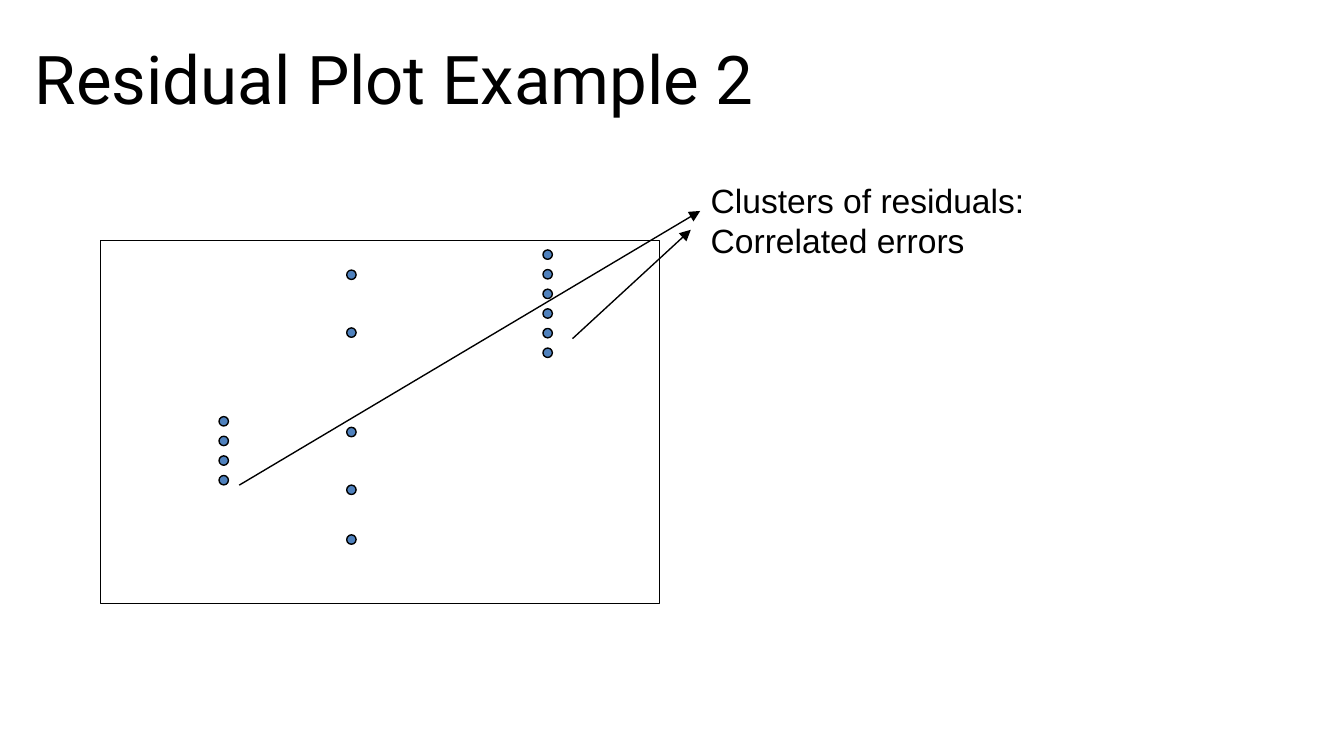
from lxml import etree
from pptx import Presentation
from pptx.dml.color import RGBColor
from pptx.enum.shapes import MSO_CONNECTOR as CONNECTOR, MSO_SHAPE as SHAPE
from pptx.enum.text import MSO_ANCHOR as ANCHOR, MSO_AUTO_SIZE as AUTO_SIZE
from pptx.oxml.ns import qn
from pptx.util import Inches, Pt

BLACK = RGBColor(0x00, 0x00, 0x00)
WHITE = RGBColor(0xFF, 0xFF, 0xFF)
BLUE = RGBColor(0x4F, 0x81, 0xBD)

DOT_SIZE = 0.07
DOT_STEP = 0.73 / 5  # six clustered residuals span 0.73 inches


def add_outlined(shapes, kind, left, top, width, height, fill):
    shape = shapes.add_shape(kind, Inches(left), Inches(top), Inches(width), Inches(height))
    shape.shadow.inherit = False
    shape.fill.solid()
    shape.fill.fore_color.rgb = fill
    shape.line.color.rgb = BLACK
    shape.line.width = Pt(0.75)


def add_residuals(shapes, left, tops):
    for top in tops:
        add_outlined(shapes, SHAPE.OVAL, left, top, DOT_SIZE, DOT_SIZE, BLUE)


def add_arrow(shapes, start, end):
    arrow = shapes.add_connector(CONNECTOR.STRAIGHT, *map(Inches, start + end))
    arrow.line.color.rgb = BLACK
    arrow.line.width = Pt(0.75)
    etree.SubElement(arrow.line._get_or_add_ln(), qn("a:tailEnd"), type="triangle")
    etree.SubElement(arrow._element.spPr, qn("a:effectLst"))


def add_text(shapes, text, left, top, width, height, font, size, wrap=True):
    box = shapes.add_textbox(Inches(left), Inches(top), Inches(width), Inches(height))
    frame = box.text_frame
    frame.word_wrap = wrap
    frame.vertical_anchor = ANCHOR.TOP
    frame.text = text
    for paragraph in frame.paragraphs:
        for run in paragraph.runs:
            run.font.name = font
            run.font.size = Pt(size)
            run.font.color.rgb = BLACK
    return frame


def main():
    # Widescreen 16:9 slide
    prs = Presentation()
    prs.slide_width = Inches(10)
    prs.slide_height = Inches(10 * 9 / 16)
    slide = prs.slides.add_slide(prs.slide_layouts[6])

    # Residual plot: frame, two clusters and a scattered column
    plot = slide.shapes.add_group_shape().shapes
    add_outlined(plot, SHAPE.RECTANGLE, 0.75, 1.79, 4.16, 2.7, WHITE)
    add_residuals(plot, 1.63, [3.1 + i * DOT_STEP for i in range(4)])
    add_residuals(plot, 4.04, [1.86 + i * DOT_STEP for i in range(6)])
    add_residuals(plot, 2.58, [2.01, 2.44, 3.18, 3.61, 3.98])

    # Arrows from the clusters to their explanation
    add_arrow(plot, (1.78, 3.61), (5.21, 1.57))
    add_arrow(plot, (4.26, 2.52), (5.14, 1.71))
    note = add_text(plot, "Clusters of residuals:\nCorrelated errors",
                    5.19, 1.29, 2.56, 0.71, "Arial", 18, wrap=False)
    note.auto_size = AUTO_SIZE.SHAPE_TO_FIT_TEXT

    # Title
    add_text(slide.shapes, "Residual Plot Example 2",
             0.16, 0.23, 9.36, 0.76, "Roboto", 36)

    prs.save("out.pptx")


if __name__ == "__main__":
    main()
